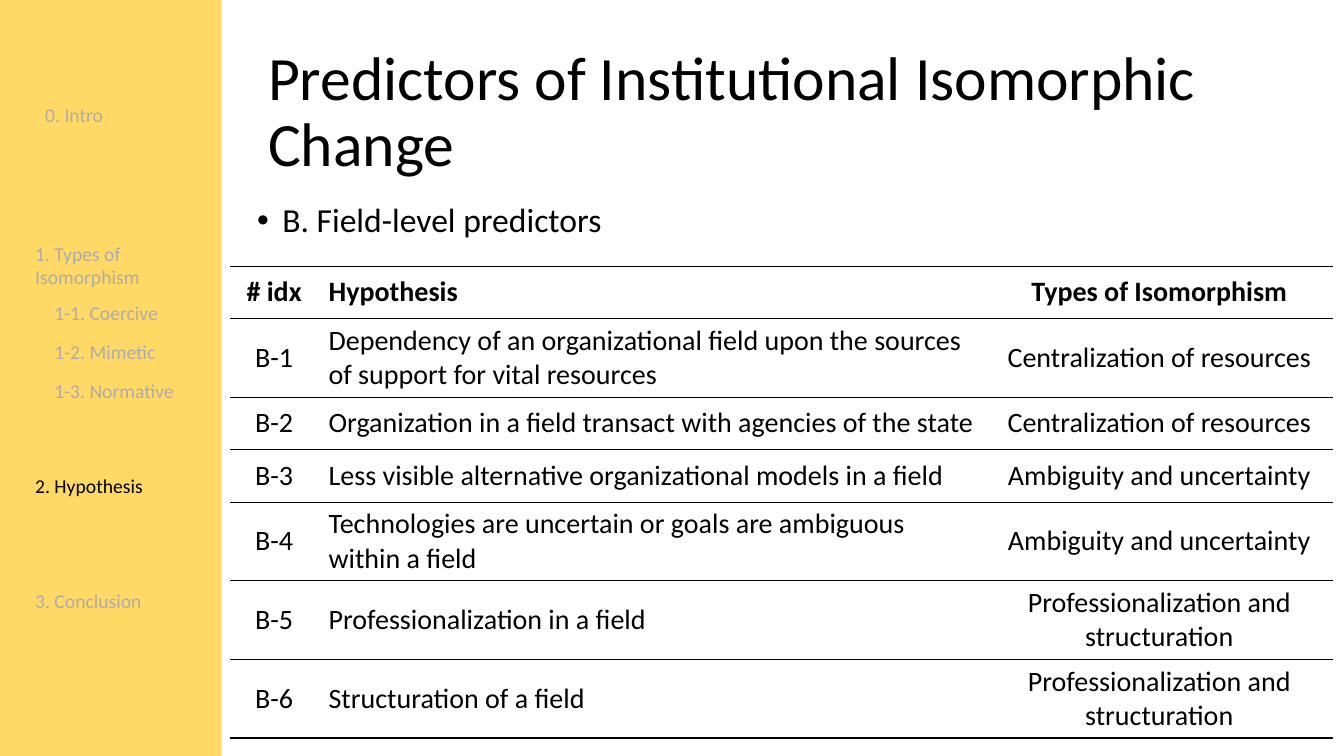
from dataclasses import dataclass

from lxml.etree import SubElement
from pptx import Presentation
from pptx.dml.color import RGBColor
from pptx.enum.shapes import MSO_SHAPE as Preset
from pptx.enum.text import MSO_ANCHOR as Anchor, MSO_AUTO_SIZE as AutoSize, PP_ALIGN as Align
from pptx.oxml.ns import qn
from pptx.util import Inches, Pt


@dataclass(frozen=True)
class Theme:
    font: str = "Calibri"
    ink: str = "000000"
    muted: str = "AFABAB"
    paper: str = "FFFFFF"
    band: str = "FFD966"
    title_size: int = 44
    body_size: int = 24
    table_size: int = 20
    nav_size: int = 14
    heavy_rule: float = 1
    thin_rule: float = 0.5


@dataclass(frozen=True)
class Box:
    """Position and size in percent of the slide."""
    left: float
    top: float
    width: float
    height: float


@dataclass(frozen=True)
class NavItem:
    text: str
    left: float
    top: float
    lines: int = 1
    current: bool = False


@dataclass(frozen=True)
class Predictor:
    idx: str
    hypothesis: str
    kind: str


THEME = Theme()
SLIDE_W, SLIDE_H = Inches(13.33), Inches(7.5)
NO_STYLE = "{2D5ABB26-0587-4C30-8999-92F81FD0307C}"

TITLE_BOX = Box(19.2, 5.33, 73.97, 19.33)
BODY_BOX = Box(18.38, 26.27, 74.79, 60.53)
COLUMNS = (6.6, 49.66, 25.8)
COLUMN_ALIGN = (Align.CENTER, Align.LEFT, Align.CENTER)
ROW_HEIGHT = 6.93
SIDEBAR = Box(0, 0, 16.5, 100)
NAV_LINE, NAV_PADDING = 3.07, 1.46
SUB_TOP, SUB_STEP = 39.2, 5.13

NAV = [
    NavItem("0. Intro", 2.63, 12.93),
    NavItem("1. Types of Isomorphism", 1.88, 31.33, lines=2),
    NavItem("2. Hypothesis", 1.88, 62, current=True),
    NavItem("3. Conclusion", 1.88, 77.2),
] + [NavItem(f"1-{n}. {name}", 3.3, SUB_TOP + SUB_STEP * (n - 1))
     for n, name in enumerate(("Coercive", "Mimetic", "Normative"), 1)]

HEADER = Predictor("# idx", "Hypothesis", "Types of Isomorphism")
CENTRAL = "Centralization of resources"
AMBIGUOUS = "Ambiguity and uncertainty"
PROFESSIONAL = "Professionalization and structuration"
PREDICTORS = [
    Predictor("B-1", "Dependency of an organizational field upon the sources "
                     "of support for vital resources", CENTRAL),
    Predictor("B-2", "Organization in a field transact with agencies of the state", CENTRAL),
    Predictor("B-3", "Less visible alternative organizational models in a field", AMBIGUOUS),
    Predictor("B-4", "Technologies are uncertain or goals are ambiguous within a field", AMBIGUOUS),
    Predictor("B-5", "Professionalization in a field", PROFESSIONAL),
    Predictor("B-6", "Structuration of a field", PROFESSIONAL),
]


def across(share: float) -> int:
    return round(SLIDE_W * share / 100)


def down(share: float) -> int:
    return round(SLIDE_H * share / 100)


def place(box: Box) -> tuple[int, int, int, int]:
    return across(box.left), down(box.top), across(box.width), down(box.height)


def write(frame, text: str, *, size: float, color: str = THEME.ink, bold: bool = False,
          align: Align = Align.LEFT, line_spacing: float = 1, space_before: float = 0):
    """Put one formatted paragraph into a text frame and return it."""
    frame.word_wrap = True
    paragraph = frame.paragraphs[0]
    paragraph.alignment = align
    paragraph.line_spacing = line_spacing
    paragraph.space_before = Pt(space_before)
    run = paragraph.add_run()
    run.text = text
    run.font.name, run.font.size, run.font.bold = THEME.font, Pt(size), bold
    run.font.color.rgb = RGBColor.from_string(color)
    return paragraph


def add_bullet(paragraph) -> None:
    props = paragraph._p.get_or_add_pPr()
    props.set("marL", str(Inches(0.25)))
    props.set("indent", str(Inches(-0.25)))
    SubElement(props, qn("a:buFont"), typeface="Arial")
    SubElement(props, qn("a:buChar"), char="•")


def rule_cell(cell, top: float, bottom: float) -> None:
    """Draw the horizontal borders of a cell and hide the vertical ones."""
    props = cell._tc.get_or_add_tcPr()
    for side, width in (("L", 0), ("R", 0), ("T", top), ("B", bottom)):
        line = SubElement(props, qn(f"a:ln{side}"), w=str(Pt(width)))
        if width:
            fill = SubElement(line, qn("a:solidFill"))
            SubElement(fill, qn("a:srgbClr"), val=THEME.ink)
        else:
            SubElement(line, qn("a:noFill"))


def add_headings(slide) -> None:
    title, body = slide.shapes.title, slide.placeholders[1]
    for holder, box in ((title, TITLE_BOX), (body, BODY_BOX)):
        holder.left, holder.top, holder.width, holder.height = place(box)
        holder.text_frame.auto_size = AutoSize.NONE
    title.text_frame.vertical_anchor = Anchor.MIDDLE
    write(title.text_frame, "Predictors of Institutional Isomorphic Change",
          size=THEME.title_size, line_spacing=0.9)
    add_bullet(write(body.text_frame, "B. Field-level predictors",
                     size=THEME.body_size, line_spacing=0.9, space_before=10))


def add_predictors(slide) -> None:
    rows = [HEADER, *PREDICTORS]
    box = Box(17.1, 35.2, sum(COLUMNS), ROW_HEIGHT * len(rows))
    table = slide.shapes.add_table(len(rows), len(COLUMNS), *place(box)).table
    table.horz_banding = False
    table._tbl.tblPr.find(qn("a:tableStyleId")).text = NO_STYLE
    for column, width in zip(table.columns, COLUMNS):
        column.width = across(width)
    # Heavy rules frame the header and close the table
    heavy = {0, 1, len(rows)}
    rules = [THEME.heavy_rule if edge in heavy else THEME.thin_rule
             for edge in range(len(rows) + 1)]
    for r, row in enumerate(rows):
        table.rows[r].height = down(ROW_HEIGHT)
        for c, text in enumerate((row.idx, row.hypothesis, row.kind)):
            cell = table.cell(r, c)
            cell.vertical_anchor = Anchor.MIDDLE
            rule_cell(cell, rules[r], rules[r + 1])
            if row is HEADER:
                cell.fill.background()
            else:
                cell.fill.solid()
                cell.fill.fore_color.rgb = RGBColor.from_string(THEME.paper)
            write(cell.text_frame, text, size=THEME.table_size,
                  bold=row is HEADER, align=COLUMN_ALIGN[c])


def add_sidebar(slide) -> None:
    sidebar = slide.shapes.add_group_shape().shapes
    band = sidebar.add_shape(Preset.RECTANGLE, *place(SIDEBAR))
    band.shadow.inherit = False
    band.fill.solid()
    band.fill.fore_color.rgb = RGBColor.from_string(THEME.band)
    band.line.fill.background()
    for item in NAV:
        box = Box(item.left, item.top, SIDEBAR.width - item.left,
                  NAV_PADDING + NAV_LINE * item.lines)
        label = sidebar.add_textbox(*place(box)).text_frame
        label.auto_size = AutoSize.SHAPE_TO_FIT_TEXT
        write(label, item.text, size=THEME.nav_size,
              color=THEME.ink if item.current else THEME.muted)


def main() -> None:
    deck = Presentation()
    deck.slide_width, deck.slide_height = SLIDE_W, SLIDE_H
    slide = deck.slides.add_slide(deck.slide_layouts[1])
    add_headings(slide)
    add_predictors(slide)
    add_sidebar(slide)
    deck.save("out.pptx")


if __name__ == "__main__":
    main()
